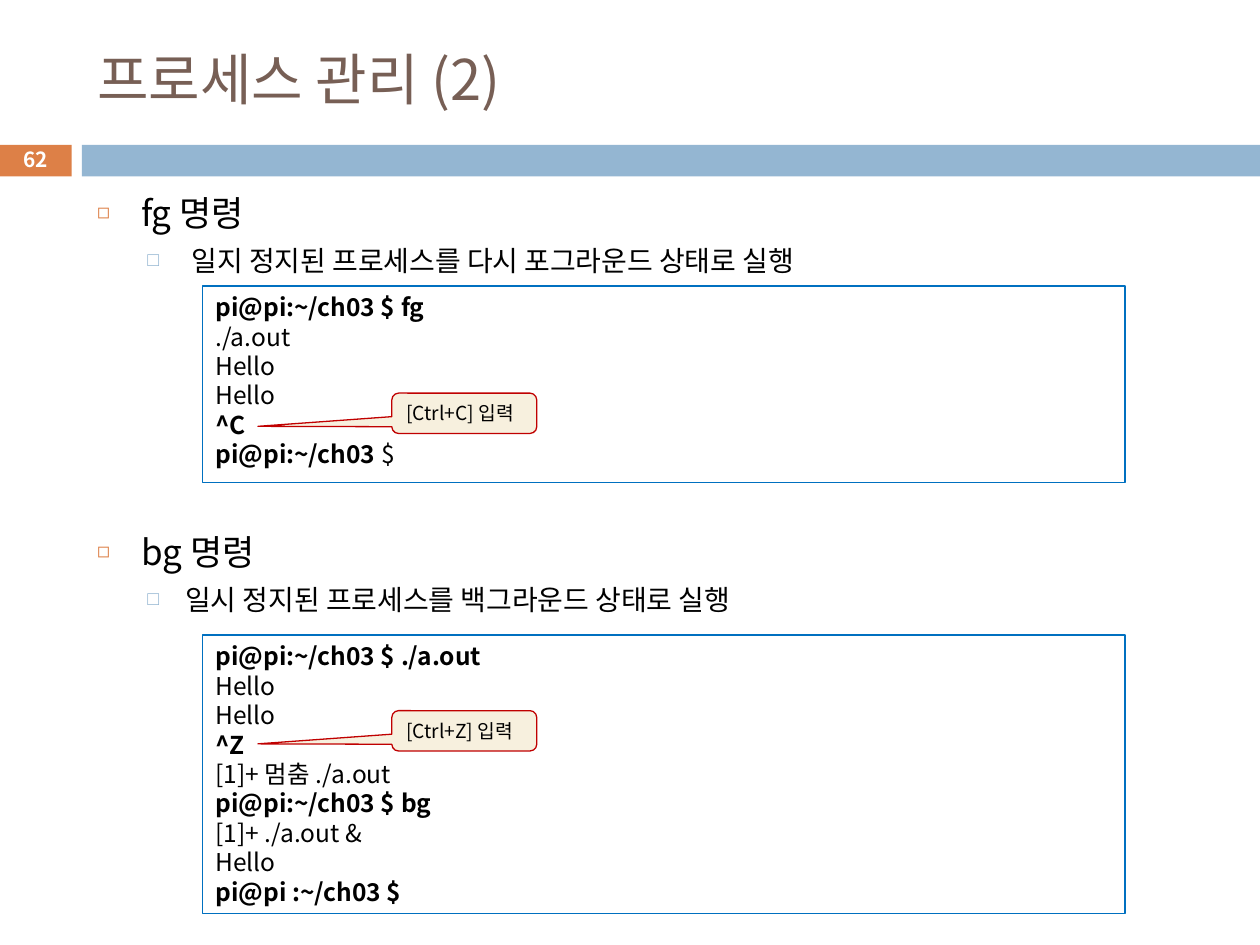
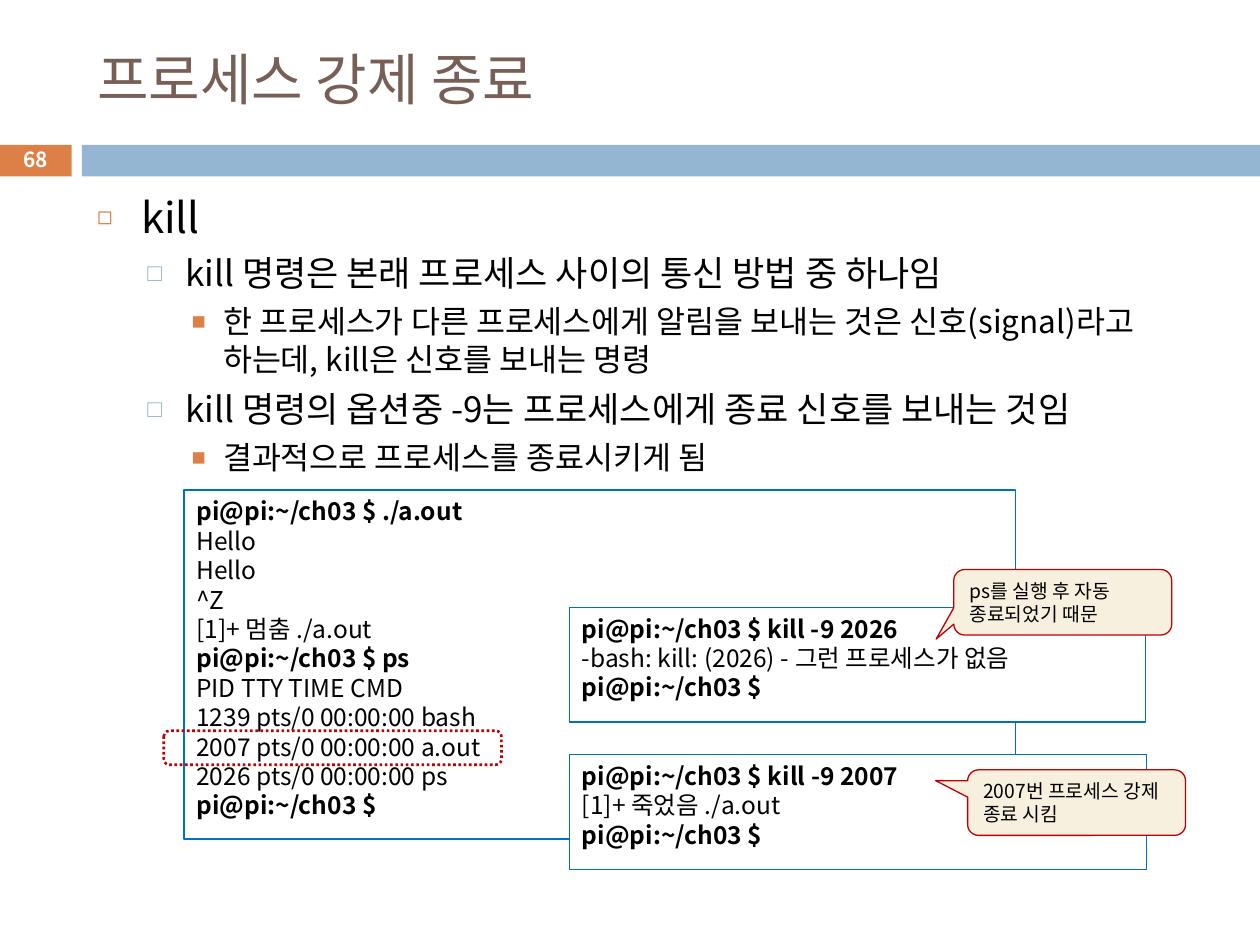
"""Build two slides on process control commands: fg and bg, then kill."""
from lxml.etree import SubElement
from pptx import Presentation
from pptx.dml.color import RGBColor
from pptx.enum.dml import MSO_LINE
from pptx.enum.shapes import MSO_SHAPE as SHAPE
from pptx.enum.text import MSO_ANCHOR as ANCHOR, MSO_AUTO_SIZE as AUTO_SIZE, PP_ALIGN as ALIGN
from pptx.oxml.ns import qn
from pptx.util import Inches, Pt

FONT = "Noto Sans CJK KR"
ORANGE = RGBColor(0xDD, 0x80, 0x47)
BLUE = RGBColor(0x94, 0xB6, 0xD2)
BROWN = RGBColor(0x77, 0x5F, 0x55)
BLACK = RGBColor(0, 0, 0)
WHITE = RGBColor(0xFF, 0xFF, 0xFF)
CODE_LINE = RGBColor(0x00, 0x70, 0xC0)
RED = RGBColor(0xC0, 0, 0)
CREAM = RGBColor(0xF7, 0xF0, 0xDE)

# Each level: left margin, hanging indent, space before, bullet, bullet colour, bullet size.
LEVELS = [
    (0.35, -0.35, 7, "◻", ORANGE, 60),
    (0.7, -0.3, 5.5, "□", BLUE, 70),
    (1, -0.25, 5, "■", ORANGE, 75),
]
PROMPT = "pi@pi"

# Items: level, size, text, space before (None takes the level's own).
# Code: left, top, width, height, extra bold lines, lines ("|" starts a plain tail).
SLIDES = [
    {
        "title": "프로세스 관리 (2)",
        "number": "62",
        "items": [
            (0, 20, "fg 명령", None),
            (1, 16, " 일지 정지된 프로세스를 다시 포그라운드 상태로 실행", None),
            (0, 20, "bg 명령", 145),
            (1, 16, "일시 정지된 프로세스를 백그라운드 상태로 실행", None),
        ],
        "code": [
            (1.61, 2.27, 7.32, 1.56, ["^C"], [
                "pi@pi:~/ch03 $ fg", "./a.out", "Hello", "Hello", "^C",
                "pi@pi:~/ch03 |$"]),
            (1.61, 5.04, 7.32, 2.21, ["^Z"], [
                "pi@pi:~/ch03 $ ./a.out", "Hello", "Hello", "^Z",
                "[1]+ 멈춤 ./a.out", "pi@pi:~/ch03 $ bg",
                "[1]+ ./a.out &", "Hello", "pi@pi :~/ch03 $"]),
        ],
        "marks": [],
        "callouts": [
            (3.11, 3.12, 1.15, 0.32, -1.424, 0.324, ["[Ctrl+C] 입력"]),
            (3.11, 5.64, 1.15, 0.32, -1.424, 0.324, ["[Ctrl+Z] 입력"]),
        ],
    },
    {
        "title": "프로세스 강제 종료",
        "number": "68",
        "items": [
            (0, 24, "kill", None),
            (1, 20, "kill 명령은 본래 프로세스 사이의 통신 방법 중 하나임", None),
            (2, 18, "한 프로세스가 다른 프로세스에게 알림을 보내는 것은 "
                    "신호(signal)라고 하는데, kill은 신호를 보내는 명령", None),
            (1, 20, "kill 명령의 옵션중 -9는 프로세스에게 종료 신호를 보내는 것임", None),
            (2, 18, "결과적으로 프로세스를 종료시키게 됨", None),
        ],
        "code": [
            (1.46, 3.89, 6.6, 2.77, [], [
                "pi@pi:~/ch03 $ ./a.out", "Hello", "Hello", "^Z",
                "[1]+ 멈춤 ./a.out", "pi@pi:~/ch03 $ ps",
                "PID TTY TIME CMD", "1239 pts/0 00:00:00 bash",
                "2007 pts/0 00:00:00 a.out", "2026 pts/0 00:00:00 ps",
                "pi@pi:~/ch03 $"]),
            (4.52, 4.82, 4.57, 0.91, [], [
                "pi@pi:~/ch03 $ kill -9 2026",
                "-bash: kill: (2026) - 그런 프로세스가 없음", "pi@pi:~/ch03 $"]),
            (4.52, 5.99, 4.58, 0.91, [], [
                "pi@pi:~/ch03 $ kill -9 2007",
                "[1]+ 죽었음 ./a.out", "pi@pi:~/ch03 $"]),
        ],
        "marks": [(1.3, 5.8, 2.68, 0.27)],
        "callouts": [
            (7.57, 4.52, 1.73, 0.52, -0.581, 0.562,
             ["ps를 실행 후 자동", "종료되었기 때문"]),
            (7.68, 6.11, 1.73, 0.52, -0.647, -0.335,
             ["2007번 프로세스 강제 종료 시킴"]),
        ],
    },
]


def add_box(page, kind, place, fill=None, line=None, width=0.75):
    """Add a preset shape without shadow, ready for left-aligned top text."""
    box = page.shapes.add_shape(kind, *map(Inches, place))
    box.shadow.inherit = False
    if fill is None:
        box.fill.background()
    else:
        box.fill.solid()
        box.fill.fore_color.rgb = fill
    if line is None:
        box.line.fill.background()
    else:
        box.line.color.rgb = line
        box.line.width = Pt(width)
    box.text_frame.word_wrap = True
    box.text_frame.vertical_anchor = ANCHOR.TOP
    return box


def write(frame, index, text, size, color=BLACK, bold=False, align=ALIGN.LEFT, level=None):
    """Write one paragraph of a text frame, with a bullet if a level is given."""
    para = frame.paragraphs[0] if index == 0 else frame.add_paragraph()
    para.alignment = align
    head, _, tail = text.partition("|")
    para.add_run().text = head
    if tail:
        span = para.add_run()
        span.text = tail
        span.font.bold = False
    if level is not None:
        margin, indent, _, bullet, bullet_color, bullet_size = LEVELS[level]
        para.level = level
        properties = para._p.get_or_add_pPr()
        properties.set("marL", str(Inches(margin)))
        properties.set("indent", str(Inches(indent)))
        color_node = SubElement(properties, qn("a:buClr"))
        SubElement(color_node, qn("a:srgbClr"), val=str(bullet_color))
        SubElement(properties, qn("a:buSzPct"), val=str(bullet_size * 1000))
        SubElement(properties, qn("a:buChar"), char=bullet)
    font = para.font
    font.name, font.size, font.bold = FONT, Pt(size), bold
    font.color.rgb = color
    SubElement(font._element, qn("a:ea"), typeface=FONT)
    return para


deck = Presentation()
deck.slide_width, deck.slide_height = Inches(10), Inches(7.5)

for content in SLIDES:
    page = deck.slides.add_slide(deck.slide_layouts[1])
    title, body = page.shapes.title, page.placeholders[1]
    for holder, top, height, anchor in [(title, 0.25, 0.74, ANCHOR.MIDDLE),
                                        (body, 1.47, 5.51, ANCHOR.TOP)]:
        holder.left, holder.top = Inches(0.67), Inches(top)
        holder.width, holder.height = Inches(8.92), Inches(height)
        holder.text_frame.auto_size = AUTO_SIZE.NONE
        holder.text_frame.vertical_anchor = anchor

    write(title.text_frame, 0, content["title"], 32, BROWN)
    for index, (level, size, text, gap) in enumerate(content["items"]):
        para = write(body.text_frame, index, text, size, level=level)
        para.space_before = Pt(0 if index == 0 else gap or LEVELS[level][2])

    add_box(page, SHAPE.RECTANGLE, (0, 1.15, 0.57, 0.25), ORANGE)
    add_box(page, SHAPE.RECTANGLE, (0.65, 1.15, 9.35, 0.25), BLUE)
    number = page.shapes.add_textbox(0, Inches(1.13), Inches(0.57), Inches(0.27))
    number.text_frame.word_wrap = True
    number.text_frame.vertical_anchor = ANCHOR.MIDDLE
    write(number.text_frame, 0, content["number"], 11.9, WHITE, True, ALIGN.CENTER)

    for *place, bold_lines, lines in content["code"]:
        listing = add_box(page, SHAPE.RECTANGLE, place, WHITE, CODE_LINE)
        for index, text in enumerate(lines):
            bold = text.startswith(PROMPT) or text in bold_lines
            write(listing.text_frame, index, text, 14, bold=bold)

    for place in content["marks"]:
        mark = add_box(page, SHAPE.ROUNDED_RECTANGLE, place, None, RED, 1.5)
        mark.line.dash_style = MSO_LINE.ROUND_DOT

    for *place, tip_x, tip_y, lines in content["callouts"]:
        callout = add_box(page, SHAPE.ROUNDED_RECTANGULAR_CALLOUT, place, CREAM, RED)
        callout.adjustments[0], callout.adjustments[1] = tip_x, tip_y
        for index, text in enumerate(lines):
            write(callout.text_frame, index, text, 11)

deck.save("out.pptx")
